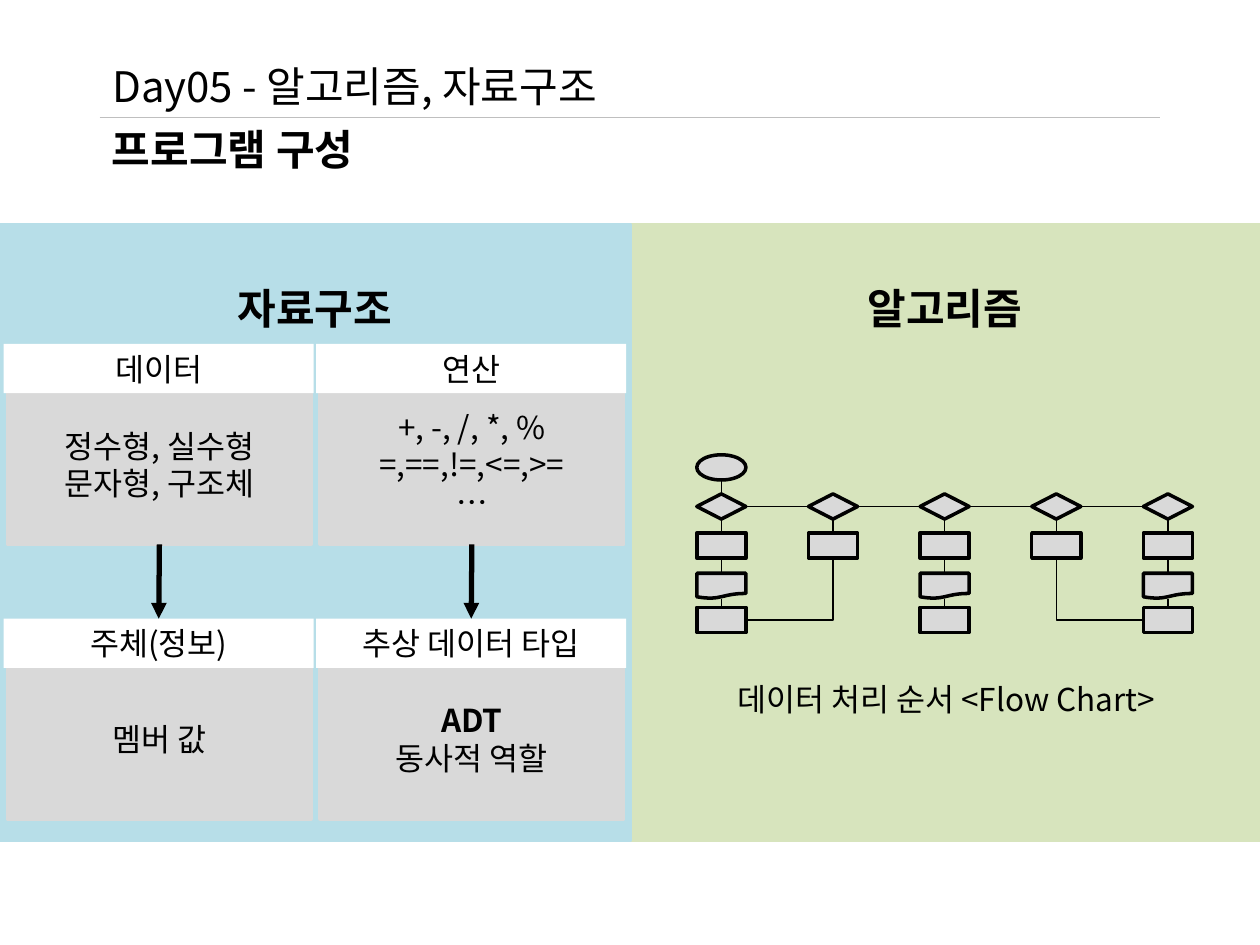
import pptx
import pptx.util
import pptx.dml.color
import pptx.enum.shapes
import pptx.enum.text
import pptx.oxml.ns
from lxml import etree

RGB = pptx.dml.color.RGBColor
BLACK, WHITE = RGB(0, 0, 0), RGB(255, 255, 255)
GREY, RULE = RGB(0xD9, 0xD9, 0xD9), RGB(0xBF, 0xBF, 0xBF)
BLUE, GREEN = RGB(0xB7, 0xDE, 0xE8), RGB(0xD7, 0xE4, 0xBD)
FONT = "Noto Sans CJK KR"
KIND = pptx.enum.shapes.MSO_SHAPE
LINE = pptx.enum.shapes.MSO_CONNECTOR
ALIGN = pptx.enum.text.PP_ALIGN
ANCHOR = pptx.enum.text.MSO_ANCHOR
FIT = pptx.enum.text.MSO_AUTO_SIZE
Inches, Pt, qn = pptx.util.Inches, pptx.util.Pt, pptx.oxml.ns.qn

TITLE = "Day05 - 알고리즘, 자료구조"
TOPIC = "프로그램 구성"
PANELS = [("알고리즘", 1, GREEN), ("자료구조", 0, BLUE)]
CARDS = [
    [("데이터", ["정수형, 실수형", "문자형, 구조체"]),
     ("연산", ["+, -, /, *, %", "=,==,!=,<=,>=", "…"])],
    [("주체(정보)", ["멤버 값"]),
     ("추상 데이터 타입", ["ADT", "동사적 역할"])],
]
STRONG = ["ADT"]
CAPTION = "데이터 처리 순서 <Flow Chart>"
OVAL, GEM, BOX, DOC = KIND.OVAL, KIND.DIAMOND, KIND.RECTANGLE, KIND.FLOWCHART_DOCUMENT
FLOW = [
    [OVAL, GEM, BOX, DOC, BOX],
    [None, GEM, BOX, None, None],
    [None, GEM, BOX, DOC, BOX],
    [None, GEM, BOX, None, None],
    [None, GEM, BOX, DOC, BOX],
]
BENDS = [(1, 0), (3, 4)]

WIDE, HIGH = 10, 7.5
SIDE, HEAD = 0.79, 0.93
CARD_X, CARD_Y, CARD_DX, CARD_DY = 0.03, 2.73, 2.48, 2.18
FLOW_X, FLOW_DX = 5.53, 0.886
FLOW_Y = [3.61, 3.92, 4.23, 4.55, 4.82]
NODE_W, NODE_H = 0.39, 0.2

deck = pptx.Presentation()
deck.slide_width, deck.slide_height = Inches(WIDE), Inches(HIGH)
slide = deck.slides.add_slide(deck.slide_layouts[5])
shapes = slide.shapes


def write(shape, lines, size=18, bold=(), align=ALIGN.CENTER, anchor=ANCHOR.MIDDLE, top=0.05):
    frame = shape.text_frame
    frame.word_wrap = True
    frame.auto_size = FIT.NONE
    frame.vertical_anchor = anchor
    frame.margin_top = Inches(top)
    for i, line in enumerate(lines):
        para = frame.add_paragraph() if i else frame.paragraphs[0]
        para.alignment = align
        para.line_spacing = Pt(size * 1.2)
        run = para.add_run()
        run.text = line
        font = run.font
        font.name, font.size, font.bold = FONT, Pt(size), line in bold
        font.color.rgb = BLACK
        east = etree.SubElement(font._element, qn("a:ea"))
        east.set("typeface", FONT)


def draw(kind, x, y, w, h, fill, edge=None):
    shape = shapes.add_shape(kind, Inches(x), Inches(y), Inches(w), Inches(h))
    shape.shadow.inherit = False
    shape.fill.solid()
    shape.fill.fore_color.rgb = fill
    if edge is None:
        shape.line.fill.background()
    else:
        shape.line.color.rgb = edge
        shape.line.width = Pt(2)
    return shape


def link(x1, y1, x2, y2, color=BLACK, width=0.75, kind=LINE.STRAIGHT):
    wire = shapes.add_connector(kind, Inches(x1), Inches(y1), Inches(x2), Inches(y2))
    wire.line.color.rgb = color
    wire.line.width = Pt(width)
    etree.SubElement(wire._element.spPr, qn("a:effectLst"))
    return wire


def join(start, out, end, into, width=0.75):
    wire = link(0, 0, 1, 1, width=width)
    wire.begin_connect(start, out)
    wire.end_connect(end, into)
    return wire


def bend(start, end):
    x1, y1 = FLOW_X + start * FLOW_DX + NODE_W / 2, FLOW_Y[2] + NODE_H
    left = end < start
    x2 = FLOW_X + end * FLOW_DX + (NODE_W if left else 0)
    y2 = FLOW_Y[4] + NODE_H / 2
    w, h = y2 - y1, abs(x2 - x1)
    x, y = (x1 + x2 - w) / 2, (y1 + y2 - h) / 2
    wire = link(x, y, x + w, y + h, kind=LINE.ELBOW)
    props = wire._element.spPr
    props.find(qn("a:prstGeom")).set("prst", "bentConnector2")
    frame = props.find(qn("a:xfrm"))
    frame.set("rot", str((90 if left else 270) * 60000))
    if not left:
        frame.set("flipH", "1")


def place(shape, x, y, w, h):
    shape.left, shape.top, shape.width, shape.height = map(Inches, (x, y, w, h))
    return shape


def label(x, y, w, h):
    return shapes.add_textbox(Inches(x), Inches(y), Inches(w), Inches(h))


for name, col, tint in PANELS:
    panel = draw(BOX, col * WIDE / 2, 1.78, WIDE / 2, 4.89, tint, tint)
    write(panel, [name], size=24, bold=[name], anchor=ANCHOR.TOP, top=0.46)

heading = place(shapes.title, SIDE, HEAD - 0.5, 8.43, 0.5)
write(heading, [TITLE], size=24, align=ALIGN.LEFT, anchor=ANCHOR.TOP)
write(label(SIDE, HEAD, 8.43, 0.5), [TOPIC], size=24, bold=[TOPIC],
      align=ALIGN.LEFT, anchor=ANCHOR.TOP)
link(SIDE, HEAD, WIDE - SIDE, HEAD, color=RULE)

tops, bodies = {}, {}
for row, cards in enumerate(CARDS):
    for col, (name, lines) in enumerate(cards):
        x, y = CARD_X + col * CARD_DX, CARD_Y + row * CARD_DY
        body = draw(BOX, x + 0.03, y + 0.02, 2.41, 1.57, GREY, GREY)
        write(body, lines, bold=STRONG, top=0.35)
        top = draw(BOX, x, y, 2.46, 0.39, WHITE)
        write(top, [name])
        tops[row, col], bodies[row, col] = top, body

for col in range(2):
    arrow = join(bodies[0, col], 2, tops[1, col], 0, width=3)
    tail = etree.SubElement(arrow.line._get_or_add_ln(), qn("a:tailEnd"))
    tail.set("type", "triangle")

nodes = {}
for col, kinds in enumerate(FLOW):
    for row, kind in enumerate(kinds):
        if kind is not None:
            nodes[col, row] = draw(kind, FLOW_X + col * FLOW_DX, FLOW_Y[row],
                                   NODE_W, NODE_H, GREY, BLACK)

for (col, row), node in nodes.items():
    below, right = nodes.get((col, row + 1)), nodes.get((col + 1, row))
    if row == 0:
        mid = FLOW_X + NODE_W / 2
        link(mid, FLOW_Y[0] + NODE_H, mid, FLOW_Y[1]).end_connect(below, 0)
    elif below is not None:
        join(node, 2, below, 0)
    if row == 1 and right is not None:
        join(node, 3, right, 1)

for start, end in BENDS:
    bend(start, end)

write(label(5.58, 5.35, 3.86, 0.4), [CAPTION], anchor=ANCHOR.TOP)

deck.save("out.pptx")
